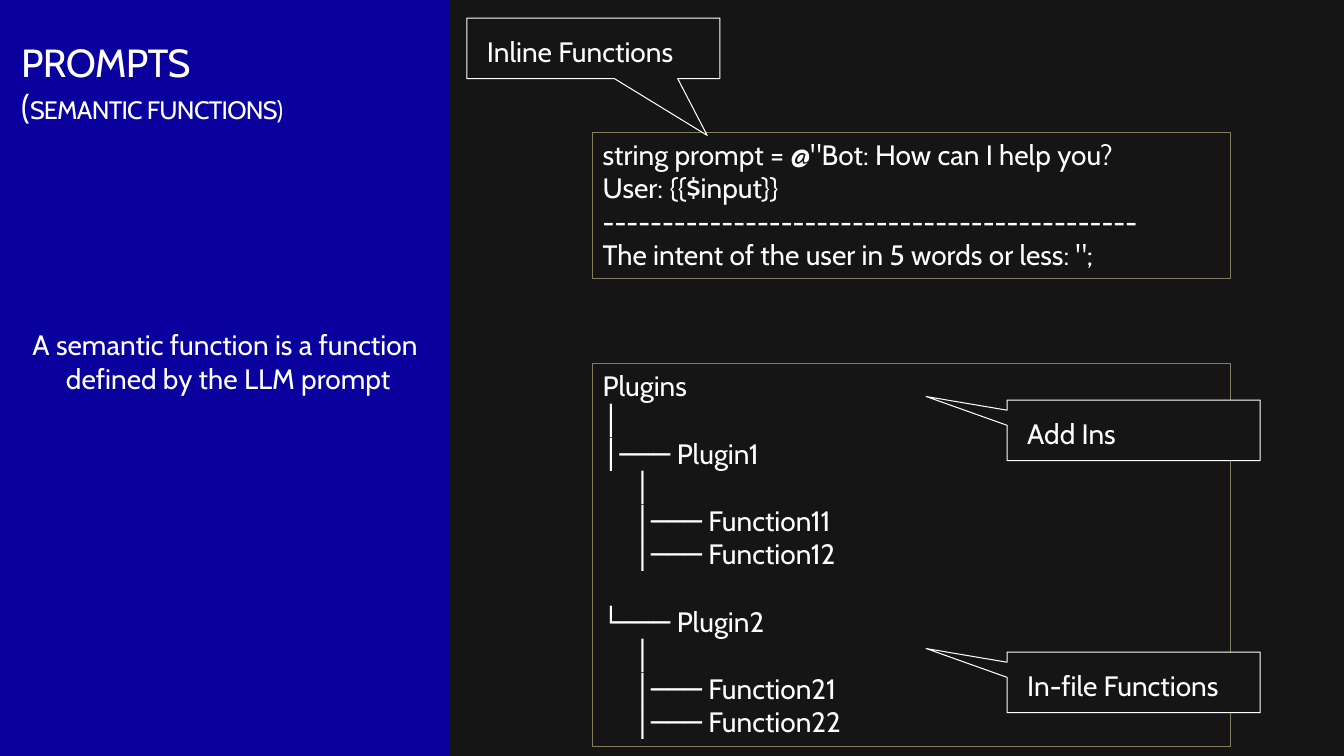
from dataclasses import dataclass

from pptx import Presentation
from pptx import util as u
from pptx.dml.color import RGBColor
from pptx.enum import shapes, text

WHITE, BACKGROUND, PANEL, BORDER = "FFFFFF", "151515", "09009E", "847C5F"
FONT = "Cabin"
BODY_SIZE = 20
LINE_HEIGHT = 24
WIDTH, HEIGHT = u.Inches(13.333), u.Inches(7.5)


@dataclass
class Frame:
    """A rectangle in percent of the slide's width and height."""
    left: float
    top: float
    width: float
    height: float

    def lengths(self) -> tuple:
        return tuple(round(share * full / 100) for share, full in (
            (self.left, WIDTH), (self.top, HEIGHT),
            (self.width, WIDTH), (self.height, HEIGHT)))


@dataclass
class Listing:
    frame: Frame
    lines: list
    gaps: tuple = ()  # indexes of lines that follow an empty line's height


@dataclass
class Callout:
    label: str
    left: float
    top: float
    tip: tuple


LISTINGS = [
    Listing(Frame(44.1, 17.47, 47.48, 19.33), [
        'string prompt = @"Bot: How can I help you?',
        "User: {{$input}}",
        "-" * 45,
        'The intent of the user in 5 words or less: ";',
    ]),
    Listing(Frame(44.1, 48.13, 47.48, 50.67), [
        "Plugins",
        "│",
        "│─── Plugin1",
        "     │",
        "     │─── Function11",
        "     │─── Function12",
        "└─── Plugin2",
        "     │",
        "     │─── Function21",
        "     │─── Function22",
    ], gaps=(6,)),
]

SIDE_TIP = (-0.82, -0.56)
CALLOUTS = [
    Callout("Inline Functions", 34.73, 2.4, (0.45, 1.44)),
    Callout("In-file Functions", 74.93, 86.27, SIDE_TIP),
    Callout("Add Ins", 74.93, 52.93, SIDE_TIP),
]


def color(value: str) -> RGBColor:
    return RGBColor.from_string(value)


def add_run(paragraph, words: str, size: float = BODY_SIZE):
    run = paragraph.add_run()
    run.text = words
    run.font.name = FONT
    run.font.size = u.Pt(size)
    run.font.color.rgb = color(WHITE)
    return run


def write_lines(frame, lines: list, align, gaps: tuple = ()) -> None:
    frame.word_wrap = True
    frame.vertical_anchor = text.MSO_ANCHOR.TOP
    for index, line in enumerate(lines):
        paragraph = frame.add_paragraph() if index else frame.paragraphs[0]
        paragraph.alignment = align
        if index in gaps:
            paragraph.space_before = u.Pt(LINE_HEIGHT)
        add_run(paragraph, line)


def set_margins(frame, horizontal: float, vertical: float) -> None:
    frame.margin_left = frame.margin_right = u.Inches(horizontal)
    frame.margin_top = frame.margin_bottom = u.Inches(vertical)


def add_box(slide, kind, frame: Frame, fill: str = "", line: str = ""):
    shape = slide.shapes.add_shape(kind, *frame.lengths())
    shape.shadow.inherit = False
    if fill:
        shape.fill.solid()
        shape.fill.fore_color.rgb = color(fill)
    else:
        shape.fill.background()
    if line:
        shape.line.color.rgb = color(line)
        shape.line.width = u.Pt(0.75)
    else:
        shape.line.fill.background()
    return shape


def add_title(slide) -> None:
    title = slide.shapes.title
    title.left, title.top, title.width, title.height = Frame(
        1.58, 5.07, 33.15, 11.73).lengths()
    frame = title.text_frame
    set_margins(frame, 0, 0)
    frame.word_wrap = True
    frame.auto_size = text.MSO_AUTO_SIZE.SHAPE_TO_FIT_TEXT
    frame.vertical_anchor = text.MSO_ANCHOR.TOP
    paragraph = frame.paragraphs[0]
    paragraph.alignment = text.PP_ALIGN.LEFT
    runs = [add_run(paragraph, "PROMPTS", 28)]
    paragraph.add_line_break()
    runs.append(add_run(paragraph, "(", 24))
    runs.append(add_run(paragraph, "SEMANTIC FUNCTIONS)", 18))
    for run in runs:
        run.font._element.set("spc", "-50")


def add_listing(slide, listing: Listing) -> None:
    shape = add_box(slide, shapes.MSO_SHAPE.RECTANGLE, listing.frame, line=BORDER)
    write_lines(shape.text_frame, listing.lines, text.PP_ALIGN.LEFT, listing.gaps)


def add_callout(slide, callout: Callout) -> None:
    shape = add_box(slide, shapes.MSO_SHAPE.RECTANGULAR_CALLOUT,
                    Frame(callout.left, callout.top, 18.83, 8), BACKGROUND, WHITE)
    for index, share in enumerate(callout.tip):
        shape.adjustments[index] = share
    set_margins(shape.text_frame, 0.2, 0.16)
    write_lines(shape.text_frame, [callout.label], text.PP_ALIGN.LEFT)


def main() -> None:
    presentation = Presentation()
    presentation.slide_width, presentation.slide_height = WIDTH, HEIGHT
    slide = presentation.slides.add_slide(presentation.slide_layouts[5])
    slide.background.fill.solid()
    slide.background.fill.fore_color.rgb = color(BACKGROUND)

    # Blue panel behind the title
    panel = add_box(slide, shapes.MSO_SHAPE.RECTANGLE, Frame(0, 0, 33.45, 100), PANEL)
    slide.shapes.title.element.addprevious(panel.element)
    add_title(slide)

    # Definition on the panel
    definition = slide.shapes.add_textbox(*Frame(-8.03, 42.67, 50.03, 10.27).lengths())
    write_lines(definition.text_frame,
                ["A semantic function is a function ", "defined by the LLM prompt"],
                text.PP_ALIGN.CENTER)

    # Code listings and their callouts
    for listing in LISTINGS:
        add_listing(slide, listing)
    for callout in CALLOUTS:
        add_callout(slide, callout)

    presentation.save("out.pptx")


if __name__ == "__main__":
    main()
